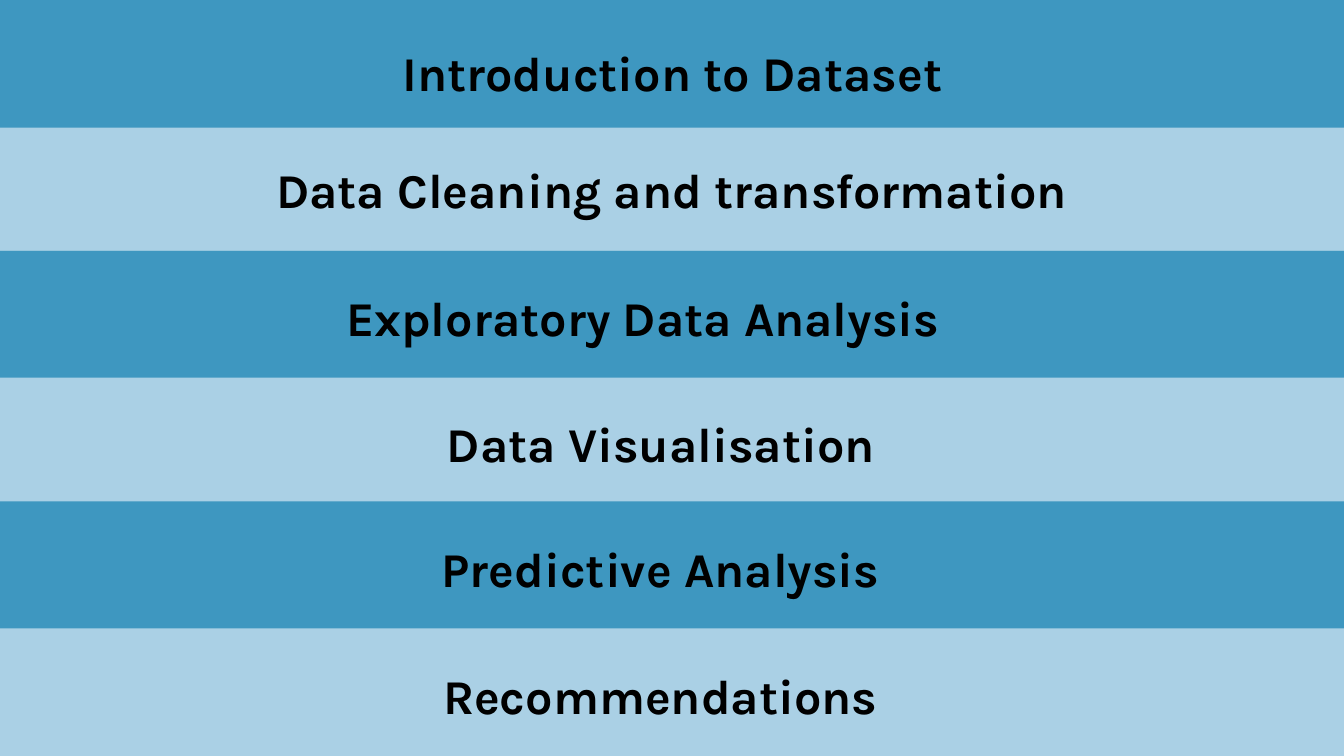
"""Build an agenda slide of six striped bands with centred headings."""
from dataclasses import dataclass

import pptx
import pptx.dml.color
import pptx.enum.shapes
import pptx.enum.text
import pptx.util

Inches = pptx.util.Inches
WIDE, HIGH = 20, 11.25
BAND = 1.9
COLORS = {"dark": "3E97C0", "light": "AAD0E5", "text": "000000"}


@dataclass
class Topic:
    name: str
    fill: str
    top: float
    left: float
    text_top: float
    width: float


TOPICS = [
    Topic("Data Cleaning and transformation", "light", 1.83, 3.76, 2.24, 12.47),
    Topic("Introduction to Dataset", "dark", 0, 3.91, 0.49, 12.19),
    Topic("Exploratory Data Analysis", "dark", 3.73, 4.13, 4.14, 10.87),
    Topic("Data Visualisation", "light", 5.62, 5.43, 6.01, 8.81),
    Topic("Predictive Analysis", "dark", 7.46, 5.51, 7.87, 8.64),
    Topic("Recommendations", "light", 9.35, 6.37, 9.76, 6.91),
]


def color(key: str) -> pptx.dml.color.RGBColor:
    return pptx.dml.color.RGBColor.from_string(COLORS[key])


def draw_band(slide, topic: Topic) -> None:
    band = slide.shapes.add_shape(
        pptx.enum.shapes.MSO_SHAPE.RECTANGLE,
        0, Inches(topic.top), Inches(WIDE), Inches(BAND))
    band.shadow.inherit = False
    band.fill.solid()
    band.fill.fore_color.rgb = color(topic.fill)
    band.line.fill.background()


def draw_text(slide, topic: Topic) -> None:
    box = slide.shapes.add_textbox(
        Inches(topic.left), Inches(topic.text_top),
        Inches(topic.width), Inches(0.97))
    frame = box.text_frame
    frame.margin_left = frame.margin_right = 0
    frame.margin_top = frame.margin_bottom = 0
    frame.word_wrap = True
    frame.auto_size = pptx.enum.text.MSO_AUTO_SIZE.SHAPE_TO_FIT_TEXT
    frame.text = topic.name
    line = frame.paragraphs[0]
    line.alignment = pptx.enum.text.PP_ALIGN.CENTER
    line.line_spacing = pptx.util.Pt(72.8)
    font = line.runs[0].font
    font.name = "Karla"
    font.size = pptx.util.Pt(52)
    font.bold = True
    font.color.rgb = color("text")


def main() -> None:
    deck = pptx.Presentation()
    deck.slide_width, deck.slide_height = Inches(WIDE), Inches(HIGH)
    slide = deck.slides.add_slide(deck.slide_layouts[6])
    for topic in TOPICS:
        draw_band(slide, topic)
    for topic in TOPICS:
        draw_text(slide, topic)
    deck.save("out.pptx")


if __name__ == "__main__":
    main()
